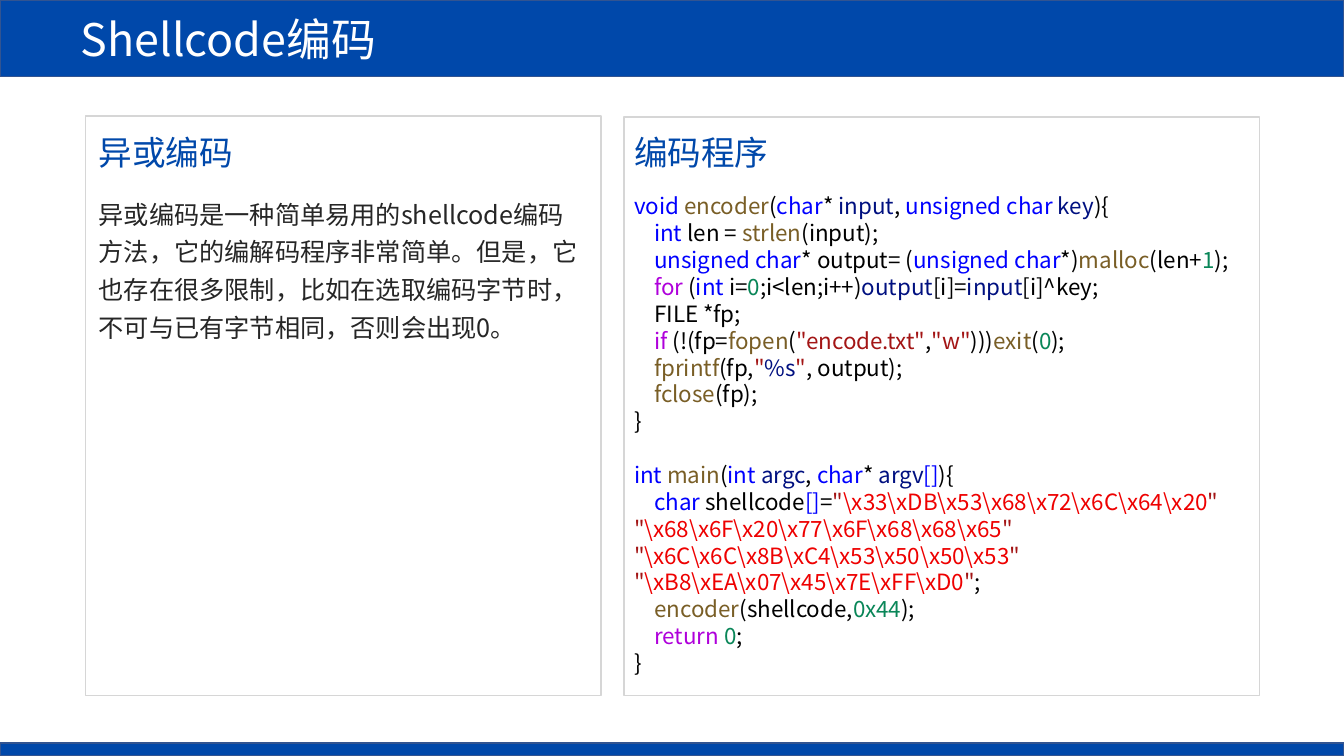
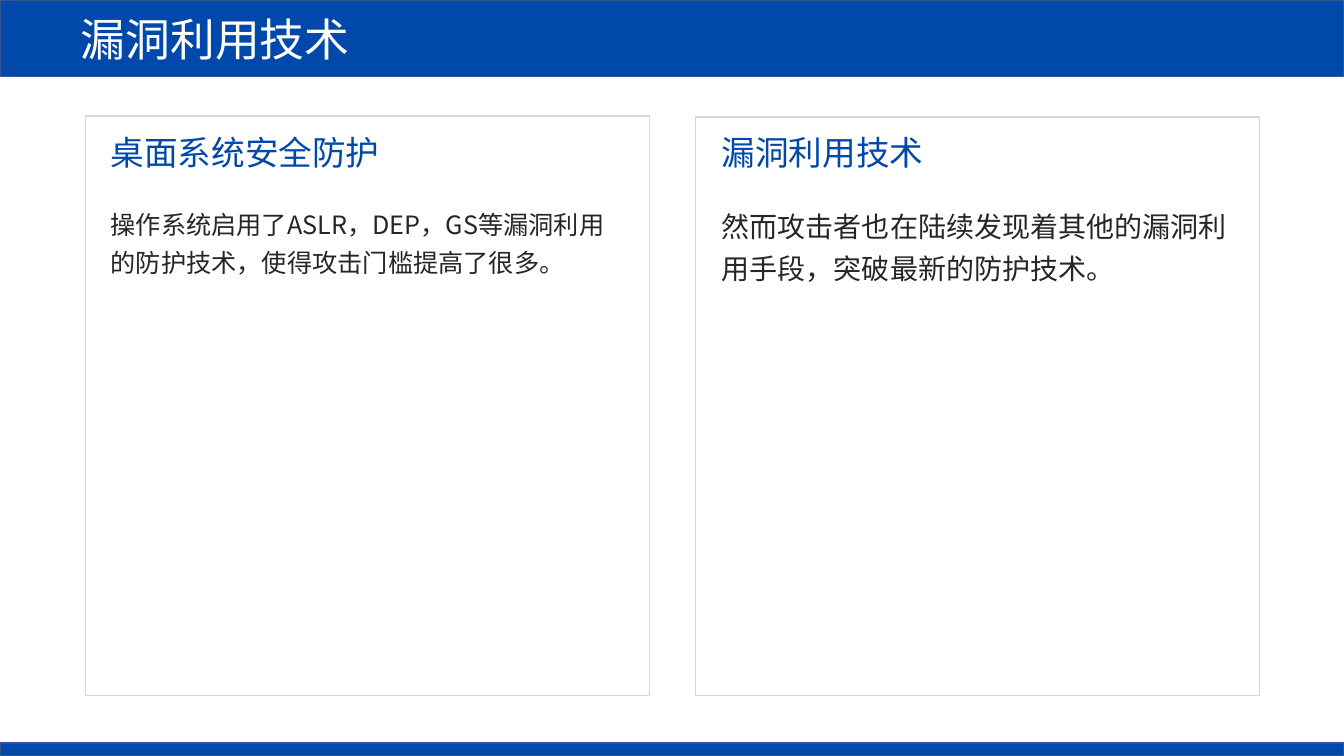
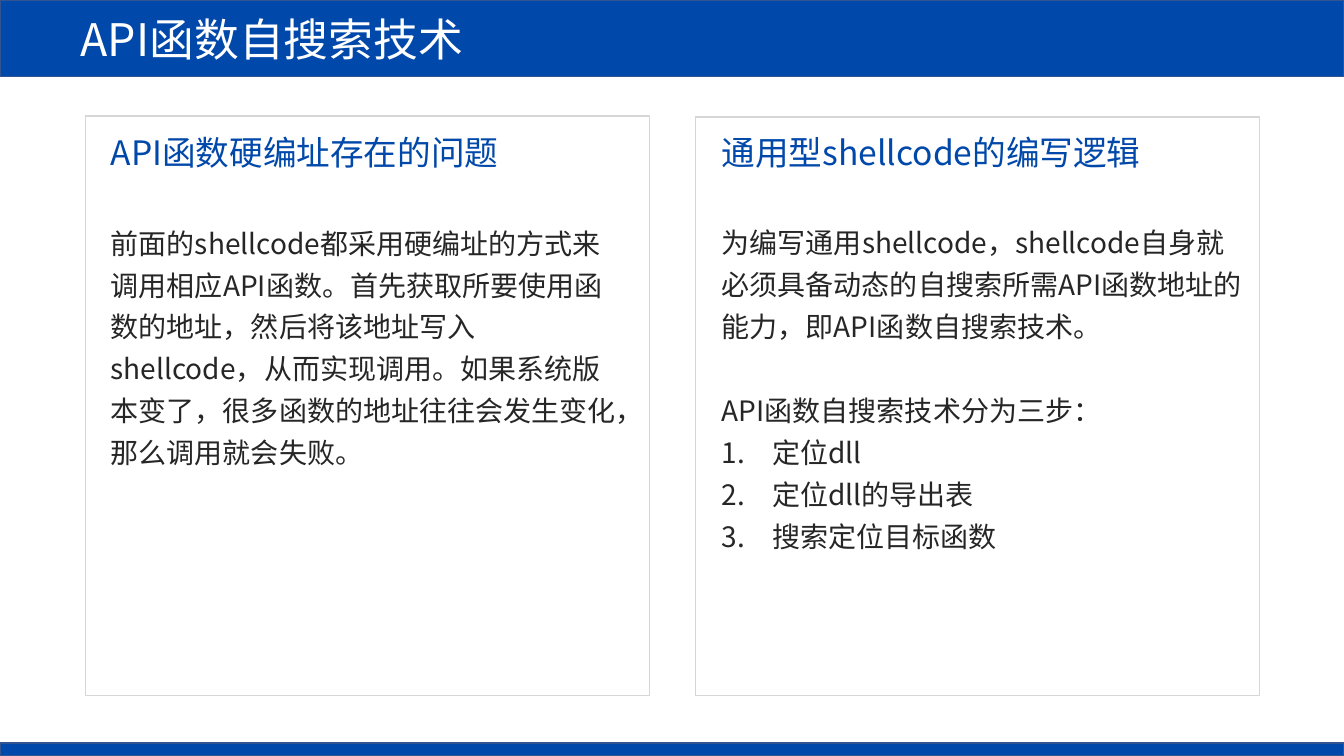
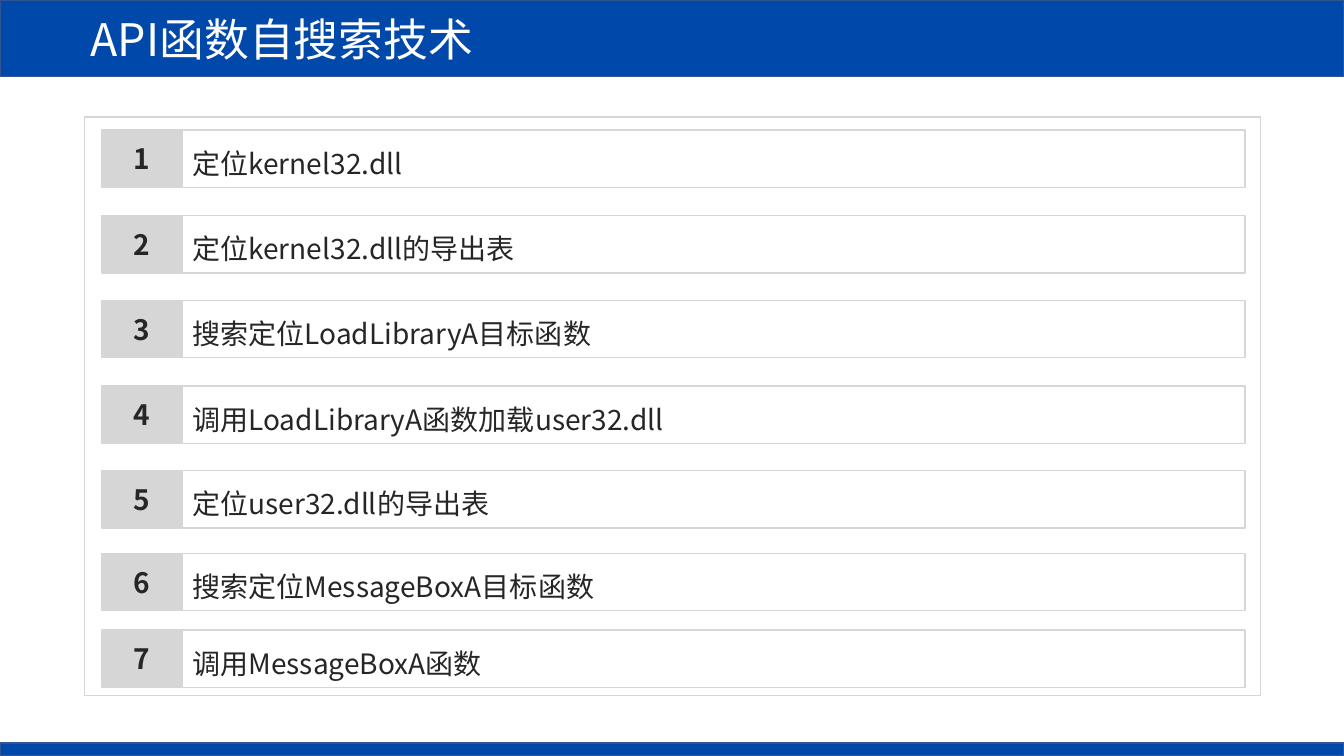
import lxml.etree
import pptx
import pptx.dml.color
import pptx.enum.shapes
import pptx.enum.text
import pptx.oxml.ns
import pptx.util

Inches = pptx.util.Inches
FONT = "Noto Sans CJK SC"
BLUE, BAND_EDGE, GREY = "0048AA", "325491", "D6D6D6"
WHITE, INK = "FFFFFF", "262626"
WIDTH, HEIGHT = 13.33, 7.5

# Syntax colours of the code listing
TYPE, FUNC, PLAIN, NAME = "0000FF", "795E26", "000000", "001080"
NUMBER, FLOW, QUOTE, BYTES = "098658", "AF00DB", "A31515", "EE0000"


def draw(shapes, left, top, width, height, fill=None, line=GREY):
    """Add a rectangle with a one-point outline."""
    box = shapes.add_shape(pptx.enum.shapes.MSO_SHAPE.RECTANGLE,
                           Inches(left), Inches(top), Inches(width), Inches(height))
    box.shadow.inherit = False
    if fill:
        box.fill.solid()
        box.fill.fore_color.rgb = pptx.dml.color.RGBColor.from_string(fill)
    else:
        box.fill.background()
    box.line.color.rgb = pptx.dml.color.RGBColor.from_string(line)
    box.line.width = pptx.util.Pt(1)
    return box


def write(box, text, size=20, colour=INK, bold=False, align="LEFT",
          spacing=None, before=0, indent=0, numbered=False):
    """Add a paragraph: a string, or a list of (colour, string) spans."""
    frame = box.text_frame
    para = frame.paragraphs[0]
    if para.runs:
        para = frame.add_paragraph()
    para.alignment = getattr(pptx.enum.text.PP_ALIGN, align)
    para.line_spacing = spacing
    para.space_before = pptx.util.Pt(before)
    properties = para._p.get_or_add_pPr()
    properties.set("marL", str(Inches(indent)))
    if numbered:
        properties.set("indent", str(-Inches(indent)))
        lxml.etree.SubElement(properties, pptx.oxml.ns.qn("a:buAutoNum"), type="arabicPeriod")
    for shade, words in [(colour, text)] if isinstance(text, str) else text:
        span = para.add_run()
        span.text = words
        span.font.size = pptx.util.Pt(size)
        span.font.bold = bold
        span.font.color.rgb = pptx.dml.color.RGBColor.from_string(shade)
        span.font.name = FONT
        lxml.etree.SubElement(span._r.get_or_add_rPr(), pptx.oxml.ns.qn("a:ea"), typeface=FONT)


# Code listing: (indented, spans) for each line
code = [
    (False, [(TYPE, "void "), (FUNC, "encoder"), (PLAIN, "("), (TYPE, "char"), (PLAIN, "* "),
             (NAME, "input"), (PLAIN, ", "), (TYPE, "unsigned char "), (NAME, "key"), (PLAIN, "){")]),
    (True, [(TYPE, "int "), (PLAIN, "len = "), (FUNC, "strlen"), (PLAIN, "(input);")]),
    (True, [(TYPE, "unsigned char"), (PLAIN, "* output= ("), (TYPE, "unsigned char"), (PLAIN, "*)"),
            (FUNC, "malloc"), (PLAIN, "(len+"), (NUMBER, "1"), (PLAIN, ");")]),
    (True, [(FLOW, "for"), (PLAIN, " ("), (TYPE, "int "), (PLAIN, "i="), (NUMBER, "0"),
            (PLAIN, ";i<len;i++)"), (NAME, "output"), (PLAIN, "[i]="), (NAME, "input"),
            (PLAIN, "[i]^key;")]),
    (True, [(PLAIN, "FILE *fp;")]),
    (True, [(FLOW, "if"), (PLAIN, " (!(fp="), (FUNC, "fopen"), (PLAIN, "("), (QUOTE, '"encode.txt"'),
            (PLAIN, ","), (QUOTE, '"w"'), (PLAIN, ")))"), (FUNC, "exit"), (PLAIN, "("),
            (NUMBER, "0"), (PLAIN, ");")]),
    (True, [(FUNC, "fprintf"), (PLAIN, "(fp,"), (QUOTE, '"'), (NAME, "%s"), (QUOTE, '"'),
            (PLAIN, ", output);")]),
    (True, [(FUNC, "fclose"), (PLAIN, "(fp);")]),
    (False, [(PLAIN, "}")]),
    (False, [(TYPE, "int "), (FUNC, "main"), (PLAIN, "("), (TYPE, "int "), (NAME, "argc"),
             (PLAIN, ", "), (TYPE, "char"), (PLAIN, "* "), (NAME, "argv"), (TYPE, "[]"), (PLAIN, "){")]),
    (True, [(TYPE, "char"), (PLAIN, " shellcode"), (TYPE, "[]"), (PLAIN, "="), (QUOTE, '"'),
            (BYTES, r"\x33\xDB\x53\x68\x72\x6C\x64\x20"), (QUOTE, '"')]),
    (False, [(QUOTE, '"'), (BYTES, r"\x68\x6F\x20\x77\x6F\x68\x68\x65"), (QUOTE, '"')]),
    (False, [(QUOTE, '"'), (BYTES, r"\x6C\x6C\x8B\xC4\x53\x50\x50\x53"), (QUOTE, '"')]),
    (False, [(QUOTE, '"'), (BYTES, r"\xB8\xEA\x07\x45\x7E\xFF\xD0"), (QUOTE, '"'), (PLAIN, ";")]),
    (True, [(FUNC, "encoder"), (PLAIN, "(shellcode,"), (NUMBER, "0x44"), (PLAIN, ");")]),
    (True, [(FLOW, "return "), (NUMBER, "0"), (PLAIN, ";")]),
    (False, [(PLAIN, "}")]),
]
code_paragraphs = [
    (spans, dict(size=16, indent=0.2 if indented else 0,
                 before=19.2 if spans[0][1] == "int " and not indented else 0))
    for indented, spans in code
]

# Body formats
small = dict(size=18, spacing=1.25)
large = dict(size=20, spacing=1.25)
step = dict(large, indent=0.5, numbered=True)

# Slides: title, title inset, panels
# Panel: frame, heading, heading width, body place, paragraphs
left_frame, right_frame = (0.85, 1.15, 5.59, 5.75), (6.9, 1.16, 5.59, 5.74)
slides = [
    ("Shellcode编码", 0.8, [
        ((0.85, 1.15, 5.11, 5.75), "异或编码", 1.55, (0.88, 1.85, 4.96, 1.58), [
            ("异或编码是一种简单易用的shellcode编码方法，它的编解码程序非常简单。但是，"
             "它也存在很多限制，比如在选取编码字节时，不可与已有字节相同，否则会出现0。", small)]),
        ((6.19, 1.16, 6.3, 5.74), "编码程序", 1.55, (6.19, 1.86, 6.43, 4.95), code_paragraphs)]),
    ("漏洞利用技术", 0.8, [
        (left_frame, "桌面系统安全防护", 2.87, (1, 1.95, 5.28, 0.82), [
            ("操作系统启用了ASLR，DEP，GS等漏洞利用的防护技术，使得攻击门槛提高了很多。", small)]),
        (right_frame, "漏洞利用技术", 2.22, (7.06, 1.95, 5.28, 0.9), [
            ("然而攻击者也在陆续发现着其他的漏洞利用手段，突破最新的防护技术。", large)])]),
    ("API函数自搜索技术", 0.8, [
        (left_frame, "API函数硬编址存在的问题", 4.18, (1, 2.11, 5.28, 3.01), [
            ("前面的shellcode都采用硬编址的方式来调用相应API函数。首先获取所要使用函数的地址，"
             "然后将该地址写入shellcode，从而实现调用。如果系统版本变了，"
             "很多函数的地址往往会发生变化，那么调用就会失败。", large)]),
        (right_frame, "通用型shellcode的编写逻辑", 4.53, (7.06, 2.11, 5.43, 3.43), [
            ("为编写通用shellcode，shellcode自身就必须具备动态的自搜索所需API函数地址的能力，"
             "即API函数自搜索技术。", large),
            ("API函数自搜索技术分为三步：", dict(large, before=30)),
            ("定位dll", step), ("定位dll的导出表", step), ("搜索定位目标函数", step)])]),
    ("API函数自搜索技术", 0.9, []),
]

deck = pptx.Presentation()
deck.slide_width, deck.slide_height = Inches(WIDTH), Inches(HEIGHT)

for title, inset, panels in slides:
    # Title band and footer band
    slide = deck.slides.add_slide(deck.slide_layouts[6])
    band = draw(slide.shapes, 0, 0, WIDTH, 0.76, BLUE, BAND_EDGE)
    band.text_frame.margin_left = Inches(inset)
    write(band, title, size=32, colour=WHITE)
    draw(slide.shapes, 0, 7.37, WIDTH, 0.13, BLUE, BAND_EDGE)

    # Framed panels with heading and body
    for frame, heading, heading_width, place, paragraphs in panels:
        draw(slide.shapes, *frame)
        heading_place = (place[0], 1.26, heading_width, 0.5)
        for area, wrap, content in [
                (heading_place, False, [(heading, dict(size=24, colour=BLUE))]),
                (place, True, paragraphs)]:
            box = slide.shapes.add_textbox(*[Inches(length) for length in area])
            box.text_frame.word_wrap = wrap
            box.text_frame.auto_size = pptx.enum.text.MSO_AUTO_SIZE.SHAPE_TO_FIT_TEXT
            for text, style in content:
                write(box, text, **style)

# Numbered steps on the last slide
draw(slide.shapes, 0.84, 1.16, 11.66, 5.74)
steps = [
    (1.29, "定位kernel32.dll"),
    (2.14, "定位kernel32.dll的导出表"),
    (2.98, "搜索定位LoadLibraryA目标函数"),
    (3.83, "调用LoadLibraryA函数加载user32.dll"),
    (4.67, "定位user32.dll的导出表"),
    (5.49, "搜索定位MessageBoxA目标函数"),
    (6.25, "调用MessageBoxA函数"),
]
for number, (top, text) in enumerate(steps, 1):
    row = slide.shapes.add_group_shape()
    write(draw(row.shapes, 1.01, top, 0.79, 0.57, GREY), str(number), bold=True, align="CENTER")
    write(draw(row.shapes, 1.81, top, 10.54, 0.57), text, **large)

deck.save("out.pptx")
